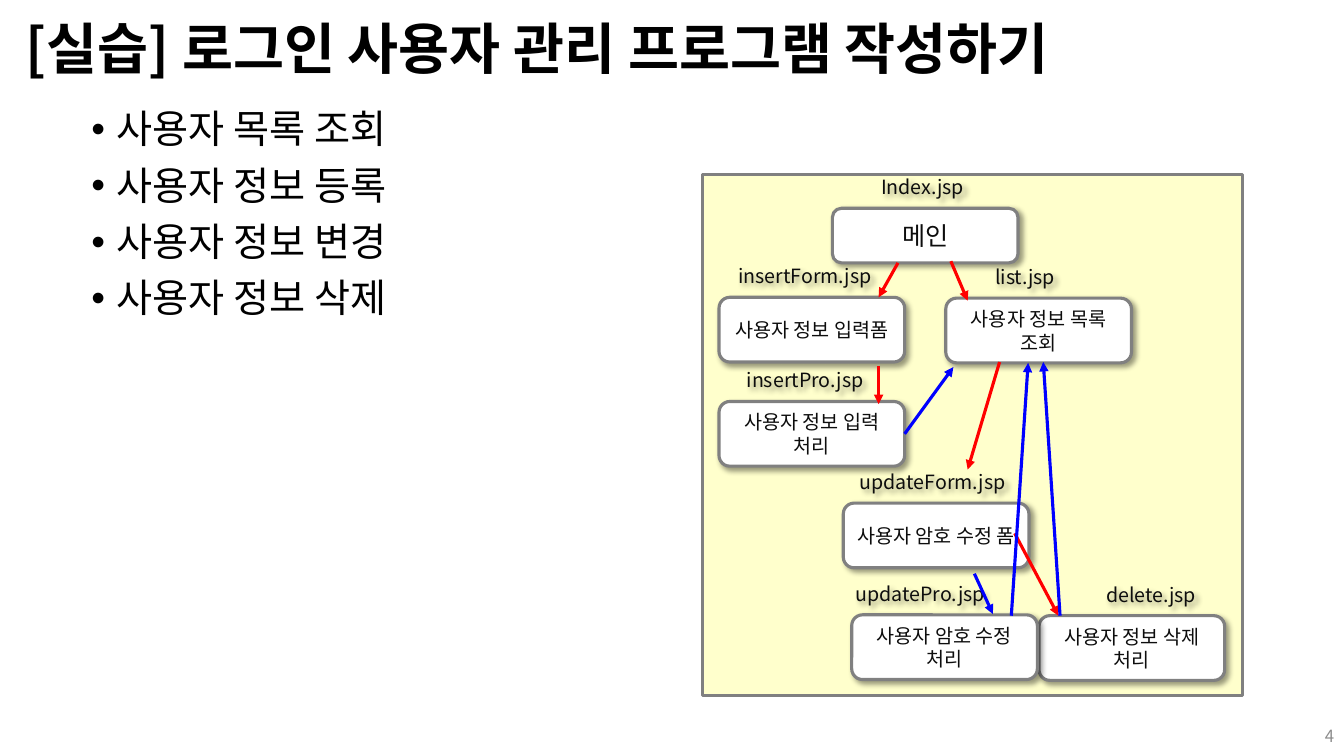
from dataclasses import dataclass

from lxml import etree
from pptx import Presentation
from pptx.dml.color import RGBColor
from pptx.enum.shapes import MSO_CONNECTOR, MSO_SHAPE
from pptx.enum.text import MSO_ANCHOR, PP_ALIGN
from pptx.oxml.ns import qn
from pptx.util import Emu, Inches, Pt

STRAIGHT = MSO_CONNECTOR.STRAIGHT
RECT, ROUNDED = MSO_SHAPE.RECTANGLE, MSO_SHAPE.ROUNDED_RECTANGLE
TOP, MIDDLE = MSO_ANCHOR.TOP, MSO_ANCHOR.MIDDLE
LEFT, CENTER, RIGHT = PP_ALIGN.LEFT, PP_ALIGN.CENTER, PP_ALIGN.RIGHT
RIGHT_SIDE = 3

COLUMNS, ROWS = 160, 90
CELL = Inches(1) // 12


@dataclass(frozen=True)
class Theme:
    font: str = "Noto Sans CJK KR"
    black: str = "000000"
    ink: str = "0D0D0D"
    muted: str = "8C8C8C"
    white: str = "FFFFFF"
    panel: str = "FFFFCC"
    border: str = "808080"
    forward: str = "FF0000"
    back: str = "0000FF"
    title_size: float = 39.6
    body_size: float = 28
    main_size: float = 18
    node_size: float = 14
    number_size: float = 12
    line_width: float = 2.25


def cells(*values):
    return [Emu(round(value * CELL)) for value in values]


class FlowSlide:
    """Draws on one slide; every position and length is in grid cells."""

    def __init__(self, slide, theme):
        self.shapes = slide.shapes
        self.theme = theme

    def fill_text(self, shape, lines, size, color, align=LEFT, anchor=MIDDLE,
                  bold=False, bullet=False, paragraph_format=None):
        frame = shape.text_frame
        frame.word_wrap = True
        frame.vertical_anchor = anchor
        for index, line in enumerate(lines):
            paragraph = frame.paragraphs[0] if index == 0 else frame.add_paragraph()
            if bullet:
                self.add_bullet(paragraph)
            formats = {"alignment": align, **(paragraph_format or {})}
            if index == 0:
                formats.pop("space_before", None)
            for name, value in formats.items():
                setattr(paragraph, name, value)
            run = paragraph.add_run()
            run.text = line
            font_format = {"name": self.theme.font, "size": Pt(size), "bold": bold}
            for name, value in font_format.items():
                setattr(run.font, name, value)
            run.font.color.rgb = RGBColor.from_string(color)
            latin = run.font._element.find(qn("a:latin"))
            east_asian = etree.Element(qn("a:ea"), typeface=self.theme.font)
            latin.addnext(east_asian)

    def add_bullet(self, paragraph):
        properties = paragraph._p.get_or_add_pPr()
        properties.set("marL", str(Inches(0.25)))
        properties.set("indent", str(-Inches(0.25)))
        etree.SubElement(properties, qn("a:buFont"), typeface="Arial")
        etree.SubElement(properties, qn("a:buChar"), char="•")

    def text(self, box, lines, size, color, **options):
        self.fill_text(self.shapes.add_textbox(*cells(*box)), lines, size, color, **options)

    def shape(self, kind, box, fill=None):
        """Add a bordered shape, or a bare one when no fill is given."""
        shape = self.shapes.add_shape(kind, *cells(*box))
        if fill:
            shape.fill.solid()
            shape.fill.fore_color.rgb = RGBColor.from_string(fill)
            self.outline(shape.line, self.theme.border)
        else:
            shape.fill.background()
            shape.line.fill.background()
        shape.shadow.inherit = False
        return shape

    def outline(self, line, color):
        line.color.rgb = RGBColor.from_string(color)
        line.width = Pt(self.theme.line_width)

    def cast_shadow(self, shape):
        effects = shape._element.spPr.find(qn("a:effectLst"))
        shadow = etree.SubElement(
            effects, qn("a:outerShdw"), blurRad=str(Pt(4)), dist=str(Pt(3)),
            dir=str(45 * 60000), algn="tl", rotWithShape="0")
        color = etree.SubElement(shadow, qn("a:srgbClr"), val=self.theme.black)
        etree.SubElement(color, qn("a:alpha"), val="40000")

    def page(self, file_label, caption, left, top, label_shift, height=7.7, size=None):
        """Add a page node with its file label above; return the node."""
        width, label_height, lift = 22.1, 6.5, 5.8
        theme = self.theme
        label = self.shape(ROUNDED, (left + label_shift, top - lift, width, label_height))
        node = self.shape(ROUNDED, (left, top, width, height), theme.white)
        parts = ((label, file_label, theme.node_size), (node, caption, size or theme.node_size))
        for part, words, part_size in parts:
            self.cast_shadow(part)
            self.fill_text(part, [words], part_size, theme.ink, align=CENTER)
        return node

    def arrow(self, start, end, color, source=None):
        connector = self.shapes.add_connector(STRAIGHT, *cells(*start, *end))
        if source is not None:
            connector.begin_connect(source, RIGHT_SIDE)
        self.outline(connector.line, color)
        properties = connector._element.spPr
        etree.SubElement(properties.find(qn("a:ln")), qn("a:tailEnd"), type="triangle")
        etree.SubElement(properties, qn("a:effectLst"))


def main():
    presentation = Presentation()
    presentation.slide_width, presentation.slide_height = cells(COLUMNS, ROWS)
    blank = presentation.slide_layouts[6]
    theme = Theme()
    flow = FlowSlide(presentation.slides.add_slide(blank), theme)

    flow.text((1.9, 1.6, 156.6, 9), ["[실습] 로그인 사용자 관리 프로그램 작성하기"],
              theme.title_size, theme.black, bold=True,
              paragraph_format={"line_spacing": 0.9})
    tasks = ["사용자 목록 조회", "사용자 정보 등록", "사용자 정보 변경", "사용자 정보 삭제"]
    flow.text((9.7, 12.5, 136, 62.3), tasks, theme.body_size, theme.black,
              anchor=TOP, bullet=True,
              paragraph_format={"line_spacing": 0.9, "space_before": Pt(10)})

    flow.shape(RECT, (83.6, 20.8, 64.3, 62), theme.panel)
    flow.page("Index.jsp", "메인", 99.1, 24.8, -0.3, height=6.5, size=theme.main_size)
    flow.page("insertForm.jsp", "사용자 정보 입력폼", 85.6, 35.4, -0.8)
    insert_process = flow.page("insertPro.jsp", "사용자 정보 입력 처리", 85.6, 47.8, -0.8)
    flow.page("list.jsp", "사용자 정보 목록 조회", 112.6, 35.5, -1.6)
    flow.page("delete.jsp", "사용자 정보 삭제 처리", 123.7, 73.3, 2.3)
    flow.page("updatePro.jsp", "사용자 암호 수정 처리", 101.4, 73.2, -2.9)
    flow.page("updateForm.jsp", "사용자 암호 수정 폼", 100.4, 59.9, -0.4)

    flow.arrow((107.7, 51.6), (113.5, 43.7), theme.back, source=insert_process)
    routes = {
        theme.forward: [
            ((106.9, 31.3), (104.6, 35.4)),
            ((104.6, 43.6), (104.6, 48.1)),
            ((113.2, 31.1), (115.2, 35.8)),
            ((120.8, 63.5), (126, 73.3)),
            ((119, 43.1), (115.2, 55.9)),
        ],
        theme.back: [
            ((116, 68.3), (118.2, 73.1)),
            ((120.4, 73.3), (122.4, 43.2)),
            ((126.2, 73.3), (124.2, 43.1)),
        ],
    }
    for color, ends in routes.items():
        for start, end in ends:
            flow.arrow(start, end, color)

    flow.text((154.6, 85.2, 5.4, 4.8), ["4"], theme.number_size, theme.muted, align=RIGHT)
    presentation.save("out.pptx")


if __name__ == "__main__":
    main()
